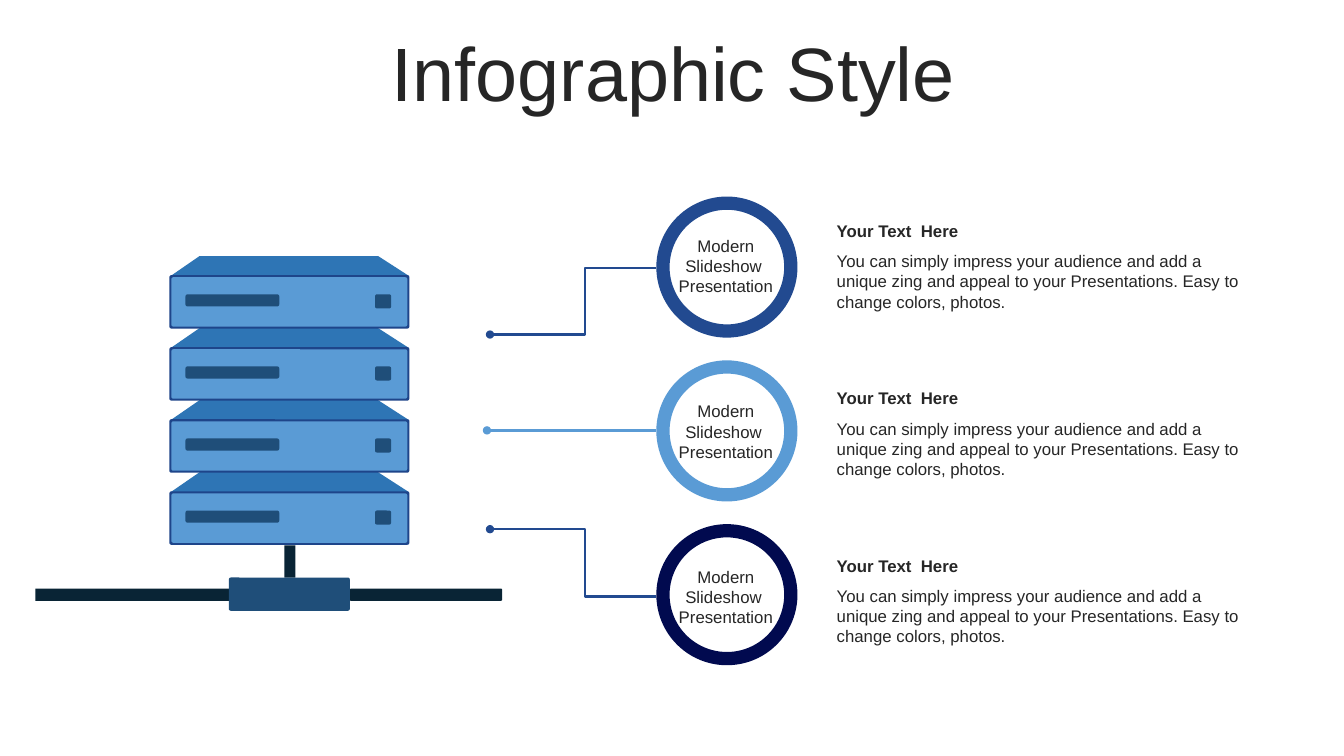
"""Builds a slide with a server stack beside three ringed captions."""
from dataclasses import dataclass

from lxml.etree import SubElement as Sub
from pptx import Presentation
from pptx.dml.color import RGBColor as RGB
from pptx.enum.shapes import MSO_CONNECTOR as Conn, MSO_SHAPE as Kind
from pptx.enum.text import MSO_ANCHOR as Anchor, MSO_AUTO_SIZE as Fit, PP_ALIGN as Align
from pptx.oxml.ns import qn
from pptx.util import Inches, Pt


@dataclass(frozen=True)
class Theme:
    font: str = "Arial"
    ink: str = "262626"
    roof: str = "2E75B5"
    edge: str = "1E458A"
    sky: str = "5A9BD5"
    steel: str = "1F4E79"
    cable: str = "092435"
    royal: str = "224A90"
    navy: str = "010A4F"
    head: int = 54
    body: int = 12
    rule: float = 1.75


class Board:
    def __init__(self, slide, theme):
        self.slide, self.theme = slide, theme

    def paint(self, shape, fill):
        shape.shadow.inherit = False
        shape.fill.solid()
        shape.fill.fore_color.rgb = RGB.from_string(fill)
        shape.line.fill.background()

    def shape(self, kind, box, fill, bend=None):
        item = self.slide.shapes.add_shape(kind, *map(Inches, box))
        if bend is not None:
            item.adjustments[0] = bend
        self.paint(item, fill)

    def block(self, box, fill, round=0.02):
        self.shape(Kind.ROUNDED_RECTANGLE, box, fill, round / min(box[2:]))

    def poly(self, points, fill):
        first, *rest = [(Inches(x), Inches(y)) for x, y in points]
        pen = self.slide.shapes.build_freeform(*first)
        pen.add_line_segments(rest, close=True)
        self.paint(pen.convert_to_shape(), fill)

    def link(self, start, end, color, bend=None):
        kind = Conn.STRAIGHT if bend is None else Conn.ELBOW
        wire = self.slide.shapes.add_connector(kind, *map(Inches, start + end))
        wire.line.width = Pt(self.theme.rule)
        wire.line.color.rgb = RGB.from_string(color)
        props = wire.element.spPr
        Sub(props.find(qn("a:ln")), qn("a:headEnd"), type="oval")
        Sub(props, qn("a:effectLst"))
        if bend is not None:
            guides = props.find(qn("a:prstGeom")).get_or_add_avLst()
            Sub(guides, qn("a:gd"), name="adj1", fmla=f"val {round(bend * 100000)}")

    def style(self, frame, size, align, bold=False):
        para = frame.paragraphs[0]
        para.alignment = align
        for run in para.runs:
            run.font.name, run.font.size, run.font.bold = self.theme.font, Pt(size), bold
            run.font.color.rgb = RGB.from_string(self.theme.ink)

    def text(self, box, words, align=Align.LEFT, bold=False):
        frame = self.slide.shapes.add_textbox(*map(Inches, box)).text_frame
        frame.word_wrap = True
        frame.auto_size = Fit.SHAPE_TO_FIT_TEXT
        frame.text = words
        self.style(frame, self.theme.body, align, bold)

    def title(self, box, words):
        title = self.slide.shapes.title
        title.left, title.top, title.width, title.height = map(Inches, box)
        frame = title.text_frame
        frame.text = words
        frame.vertical_anchor = Anchor.MIDDLE
        frame.paragraphs[0].line_spacing = 0.9
        self.style(frame, self.theme.head, Align.CENTER)

    def server(self, top):
        theme = self.theme
        low = top + 0.2
        self.poly([(1.69, low), (1.98, top), (3.75, top), (4.06, low)], theme.roof)
        self.block((1.68, top + 0.19, 2.38, 0.53), theme.edge)
        self.block((1.7, top + 0.21, 2.34, 0.49), theme.sky)
        self.block((1.84, top + 0.38, 0.93, 0.12), theme.steel)
        self.block((3.72, top + 0.38, 0.16, 0.14), theme.steel)


def main():
    deck = Presentation()
    deck.slide_width, deck.slide_height = Inches(13.33), Inches(7.5)
    theme = Theme()
    board = Board(deck.slides.add_slide(deck.slide_layouts[5]), theme)
    board.title((0.35, 0.37, 12.66, 0.79), "Infographic Style")

    board.block((0.35, 5.84, 1.92, 0.12), theme.cable, 0)
    board.block((3.47, 5.84, 1.51, 0.12), theme.cable, 0.01)
    board.block((2.82, 5.41, 0.11, 0.32), theme.cable, 0)
    board.block((2.27, 5.73, 1.2, 0.33), theme.steel)
    for step in reversed(range(4)):
        board.server(2.54 + 0.715 * step)

    rows = [
        (theme.royal, theme.royal, (4.86, 3.32), 2.66, 0.57),
        (theme.sky, theme.sky, (4.83, 4.27), 4.27, None),
        (theme.navy, theme.royal, (4.86, 5.25), 5.92, 0.57),
    ]
    for step, (ring, wire, dot, level, bend) in enumerate(rows):
        board.link(dot, (6.51, level), wire, bend)
        board.shape(Kind.DONUT, (6.51, 1.95 + 1.625 * step, 1.4, 1.4), ring, 0.094)
        board.text((6.63, 2.29 + 1.64 * step, 1.14, 0.71),
                   "Modern Slideshow  Presentation", Align.CENTER)
        top = 2.14 + 1.66 * step
        board.text((8.2, top, 4.29, 0.3), "Your Text  Here", bold=True)
        board.text((8.2, top + 0.3, 4.29, 0.71),
                   "You can simply impress your audience and add a unique zing and "
                   "appeal to your Presentations. Easy to change colors, photos.")
    deck.save("out.pptx")


if __name__ == "__main__":
    main()
